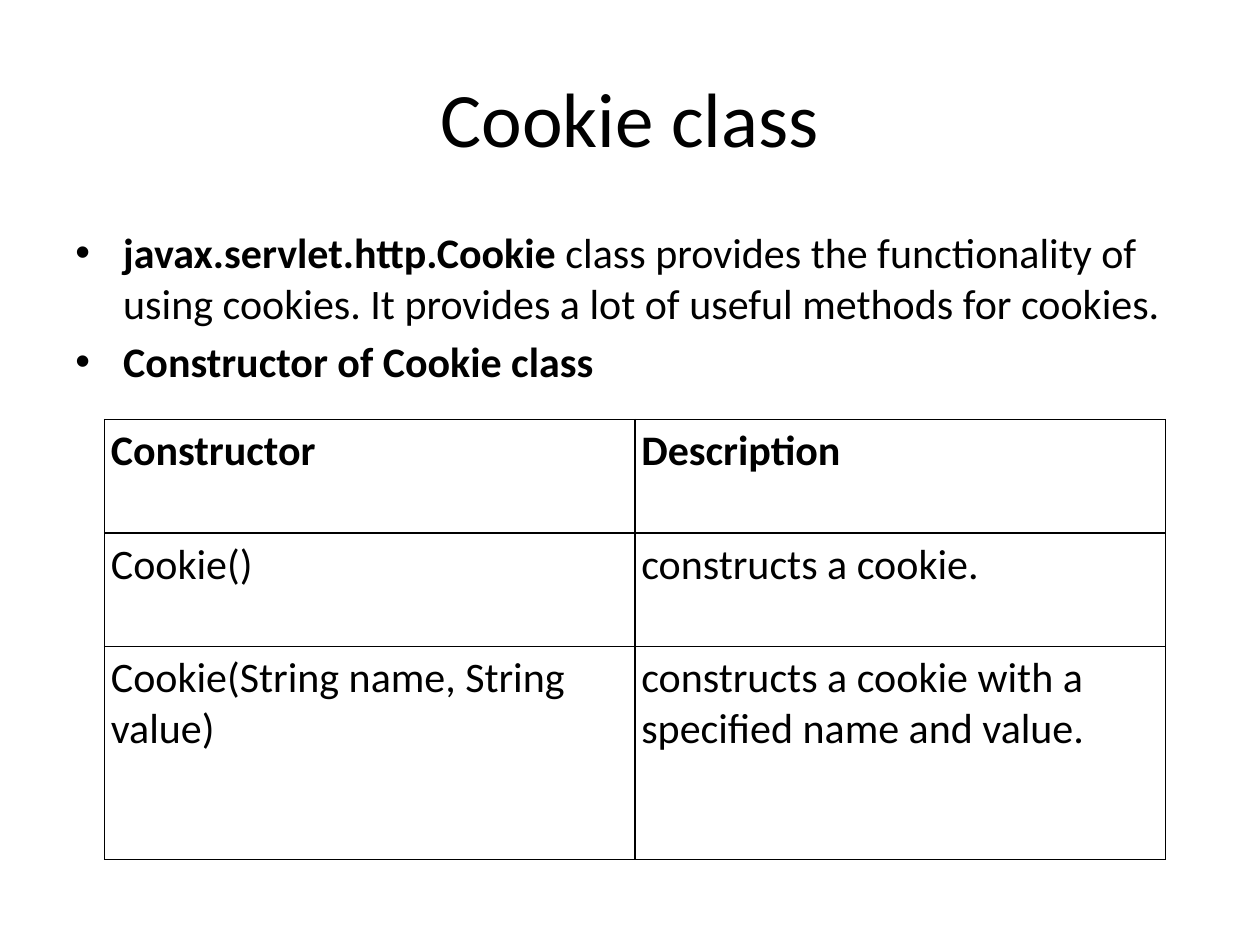
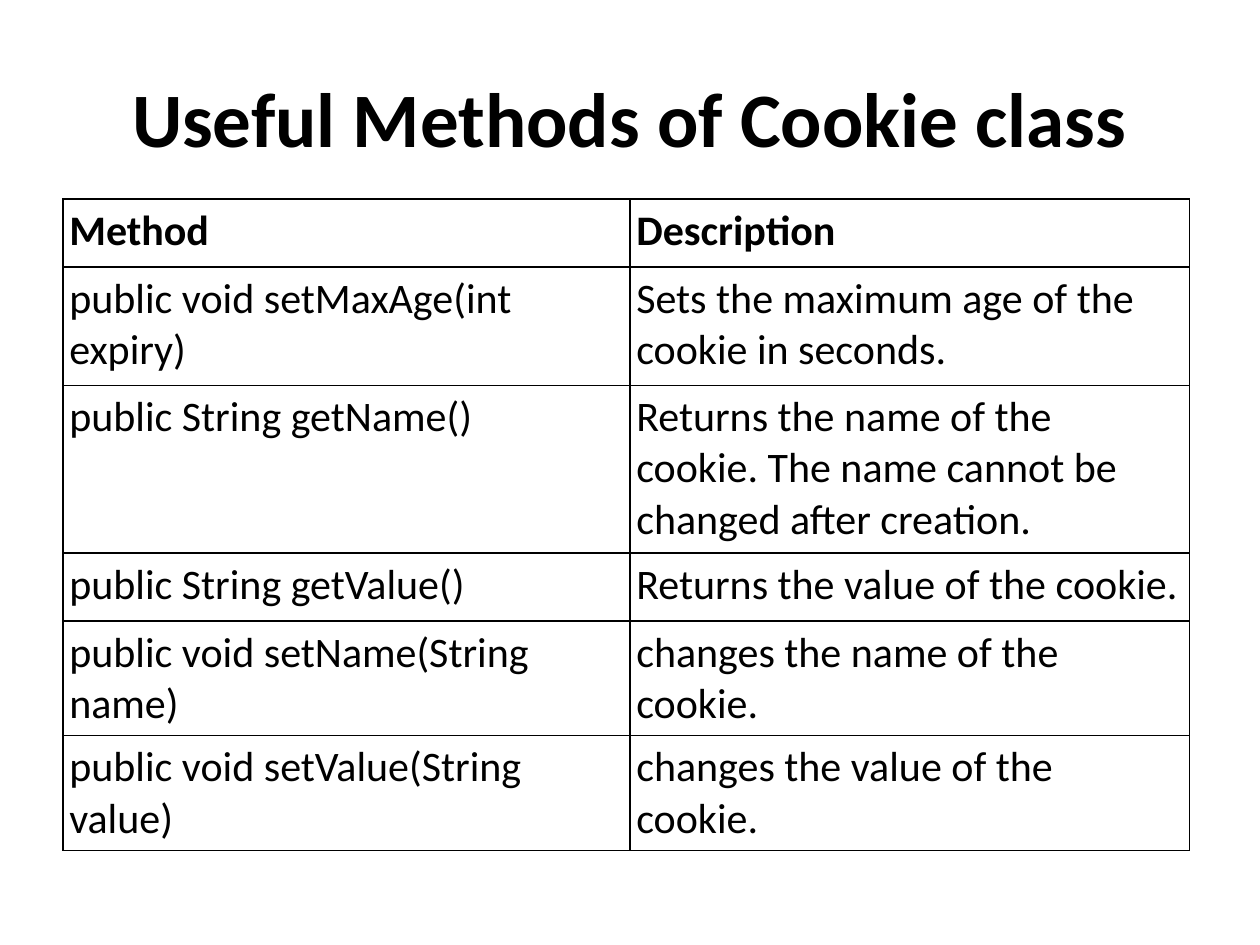
from lxml import etree
from pptx import Presentation
from pptx.dml.color import RGBColor
from pptx.enum.text import MSO_ANCHOR, PP_ALIGN
from pptx.oxml.ns import qn
from pptx.util import Inches, Pt

BLACK = RGBColor(0x00, 0x00, 0x00)
WHITE = RGBColor(0xFF, 0xFF, 0xFF)
FONT = "Calibri"
TITLE_SIZE = 44
BODY_SIZE = 24
CENTER = PP_ALIGN.CENTER
MIDDLE = MSO_ANCHOR.MIDDLE
TOP = MSO_ANCHOR.TOP
BORDER_WIDTH = Pt(1)
BULLET_INDENT = Inches(0.38)
CELL_MARGIN = Inches(0.05)

TITLE_BOX = (0.5, 0.3, 9, 1.25)
BODY_BOX = (0.5, 1.75, 9, 4.95)

SLIDES = [
    {
        "title": ("Cookie class", False),
        "bullets": [
            [
                ("javax.servlet.http.Cookie", True),
                (" class provides the functionality of using cookies. "
                 "It provides a lot of useful methods for cookies.", False),
            ],
            [("Constructor of Cookie class", True)],
        ],
        "table": {
            "position": (0.83, 3.33),
            "columns": [4.21, 4.21],
            "heights": [0.9, 0.9, 1.69],
            "rows": [
                ("Constructor", "Description"),
                ("Cookie()", "constructs a cookie."),
                ("Cookie(String name, String value)",
                 "constructs a cookie with a specified name and value."),
            ],
        },
    },
    {
        "title": ("Useful Methods of Cookie class", True),
        "bullets": [],
        "table": {
            "position": (0.5, 1.58),
            "columns": [4.5, 4.44],
            "heights": [0.54, 0.94, 1.33, 0.54, 0.91, 0.91],
            "rows": [
                ("Method", "Description"),
                ("public void setMaxAge(int expiry)",
                 "Sets the maximum age of the cookie in seconds."),
                ("public String getName()",
                 "Returns the name of the cookie. The name cannot be changed after creation."),
                ("public String getValue()", "Returns the value of the cookie."),
                ("public void setName(String name)", "changes the name of the cookie."),
                ("public void setValue(String value)", "changes the value of the cookie."),
            ],
        },
    },
]


def add_text(paragraph, text, size=BODY_SIZE, bold=False, align=None):
    run = paragraph.add_run()
    run.text = text
    run.font.name = FONT
    run.font.size = Pt(size)
    run.font.bold = bold
    run.font.color.rgb = BLACK
    if align is not None:
        paragraph.alignment = align


def add_text_frame(slide, box, anchor):
    text_frame = slide.shapes.add_textbox(*map(Inches, box)).text_frame
    text_frame.word_wrap = True
    text_frame.vertical_anchor = anchor
    return text_frame


def add_bullets(slide, bullets):
    text_frame = add_text_frame(slide, BODY_BOX, TOP)
    for index, parts in enumerate(bullets):
        paragraph = text_frame.add_paragraph() if index else text_frame.paragraphs[0]
        paragraph.space_before = Pt(BODY_SIZE * 0.2)
        properties = paragraph._p.get_or_add_pPr()
        properties.set("marL", str(BULLET_INDENT))
        properties.set("indent", str(-BULLET_INDENT))
        etree.SubElement(properties, qn("a:buFont"), typeface="Arial")
        etree.SubElement(properties, qn("a:buChar"), char="•")
        for text, bold in parts:
            add_text(paragraph, text, bold=bold)


def add_borders(cell):
    properties = cell._tc.get_or_add_tcPr()
    for side in ("lnL", "lnR", "lnT", "lnB"):
        line = etree.SubElement(properties, qn(f"a:{side}"), w=str(BORDER_WIDTH))
        fill = etree.SubElement(line, qn("a:solidFill"))
        etree.SubElement(fill, qn("a:srgbClr"), val=str(BLACK))


def add_table(slide, position, columns, heights, rows):
    left, top = position
    table = slide.shapes.add_table(
        len(rows), len(columns), Inches(left), Inches(top),
        Inches(sum(columns)), Inches(sum(heights))).table
    for column, width in zip(table.columns, columns):
        column.width = Inches(width)
    for row_index, (row, height, texts) in enumerate(zip(table.rows, heights, rows)):
        row.height = Inches(height)
        for cell, text in zip(row.cells, texts):
            cell.margin_left = cell.margin_right = CELL_MARGIN
            cell.margin_top = cell.margin_bottom = CELL_MARGIN
            add_borders(cell)
            cell.fill.solid()
            cell.fill.fore_color.rgb = WHITE
            add_text(cell.text_frame.paragraphs[0], text, bold=row_index == 0)


def main():
    presentation = Presentation()
    presentation.slide_width = Inches(10)
    presentation.slide_height = Inches(7.5)
    blank_layout = presentation.slide_layouts[6]
    for content in SLIDES:
        slide = presentation.slides.add_slide(blank_layout)
        title, bold = content["title"]
        title_frame = add_text_frame(slide, TITLE_BOX, MIDDLE)
        add_text(title_frame.paragraphs[0], title, size=TITLE_SIZE, bold=bold, align=CENTER)
        if content["bullets"]:
            add_bullets(slide, content["bullets"])
        add_table(slide, **content["table"])
    presentation.save("out.pptx")


if __name__ == "__main__":
    main()
